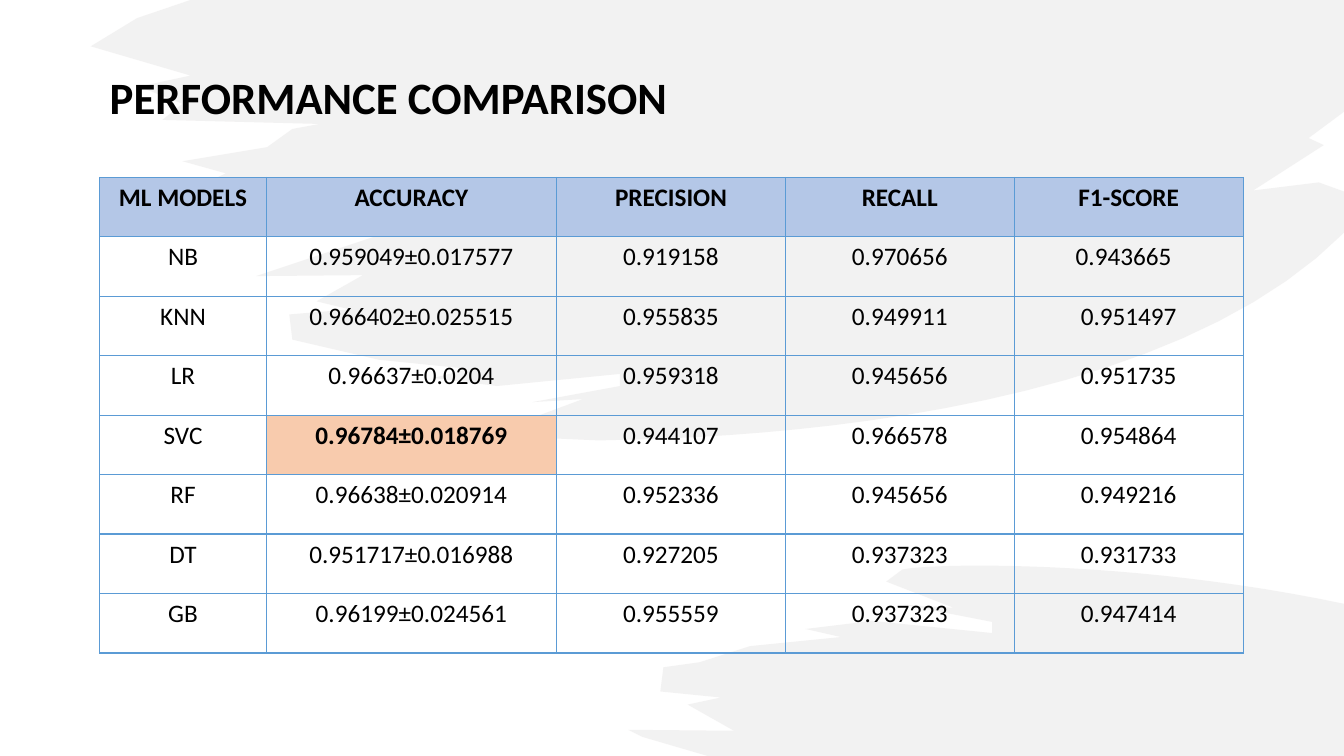
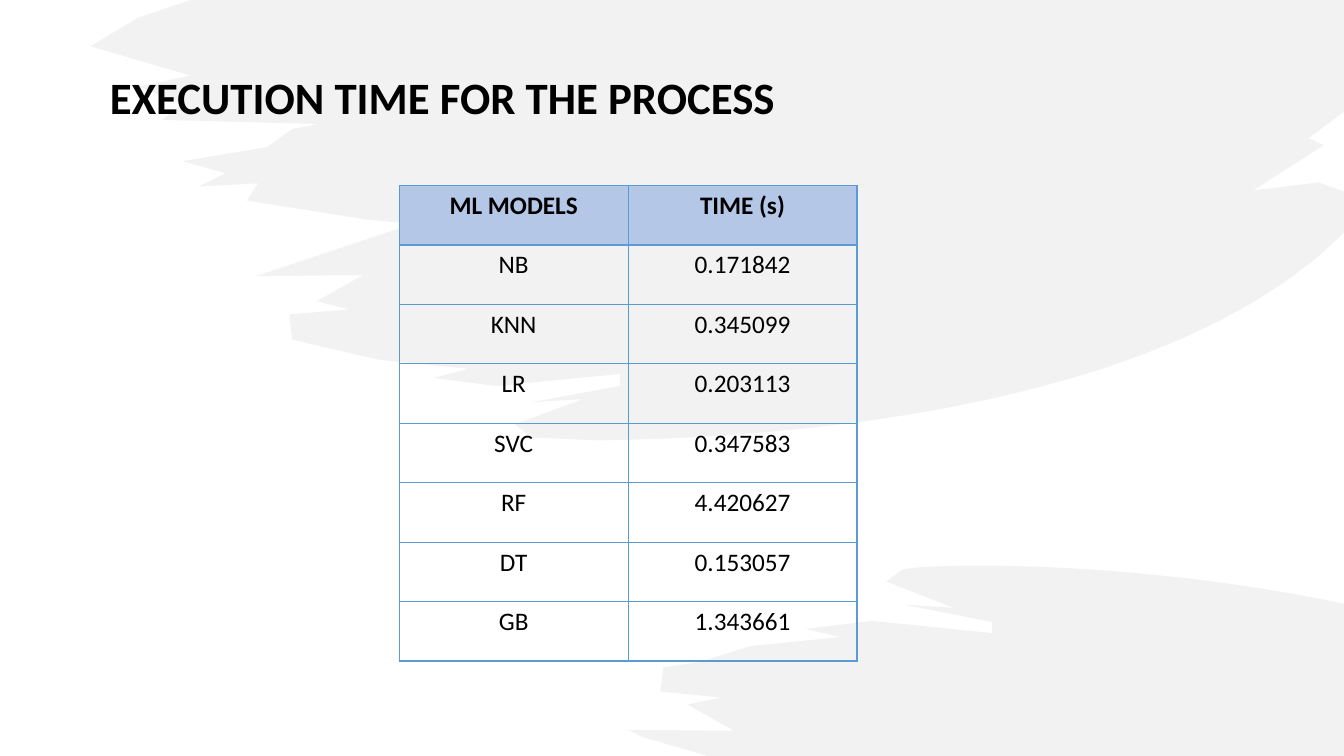
import pptx
import pptx.dml.color
import pptx.enum.text
import pptx.oxml
import pptx.oxml.ns
import pptx.util

COLORS = {
    "stroke": "E7E6E6",
    "text": "000000",
    "border": "5B9BD5",
    "header": "B4C7E7",
    "highlight": "F8CBAD",
}
FONT = "Calibri"
WIDTH, HEIGHT = 13.33, 7.5
ROW_HEIGHT = 0.59
COLUMN = 2.27
CURVE_STEPS = 24

SLIDES = [
    {
        "title": "PERFORMANCE COMPARISON",
        "title_width": 7.74,
        "table_at": (0.99, 1.76),
        "columns": [1.65, 2.88] + [COLUMN] * 3,
        "rows": [
            ("ML MODELS", "ACCURACY", "PRECISION", "RECALL", "F1-SCORE"),
            ("NB", "0.959049±0.017577", "0.919158", "0.970656", "0.943665"),
            ("KNN", "0.966402±0.025515", "0.955835", "0.949911", "0.951497"),
            ("LR", "0.96637±0.0204", "0.959318", "0.945656", "0.951735"),
            ("SVC", "0.96784±0.018769", "0.944107", "0.966578", "0.954864"),
            ("RF", "0.96638±0.020914", "0.952336", "0.945656", "0.949216"),
            ("DT", "0.951717±0.016988", "0.927205", "0.937323", "0.931733"),
            ("GB", "0.96199±0.024561", "0.955559", "0.937323", "0.947414"),
        ],
        "highlight": (4, 1),
        "shifted_left": (1, 4),
    },
    {
        "title": "EXECUTION TIME FOR THE PROCESS",
        "title_width": 8.05,
        "table_at": (3.96, 1.84),
        "columns": [COLUMN] * 2,
        "rows": [
            ("ML MODELS", "TIME (s)"),
            ("NB", "0.171842"),
            ("KNN", "0.345099"),
            ("LR", "0.203113"),
            ("SVC", "0.347583"),
            ("RF", "4.420627"),
            ("DT", "0.153057"),
            ("GB", "1.343661"),
        ],
    },
]

UPPER_STROKE = {
    "curve": [(WIDTH, 2.31), (11.26, 4.4), (6.3, 4.35), (5.95, 4.37)],
    "ragged": [
        (5.27, 4.34), (5.11, 4.21), (5.78, 3.96), (5.28, 3.99),
        (6.15, 3.83), (6.15, 3.71), (4.93, 3.83), (4.3, 3.75),
        (4.65, 3.66), (3.76, 3.57), (2.9, 3.37), (2.87, 3.12),
        (3.47, 3.07), (3.14, 2.99), (3.6, 2.73), (2.54, 2.74),
        (4.1, 2.22), (3.65, 2.18), (2.45, 1.99), (2.56, 1.82),
        (1.97, 1.85), (2.24, 1.72), (1.81, 1.6), (2.65, 1.46),
        (2.9, 1.28), (3.17, 1.23), (1.61, 1.19), (1.81, 1.03),
        (1.38, 0.86), (1.89, 0.75), (0.9, 0.46), (1.36, 0.18),
    ],
    "edge": [
        (1.89, 0), (WIDTH, 0), (WIDTH, 1.11), (12.98, 1.37),
        (13.13, 1.44), (12.43, 1.89), (13.08, 1.81), (WIDTH, 1.9),
    ],
}
LOWER_STROKE = {
    "curve": [(8.95, 5.65), (9.2, 5.59), (11.2, 5.54), (WIDTH, 5.99)],
    "edge": [(WIDTH, HEIGHT), (7.02, HEIGHT)],
    "ragged": [
        (6.37, 7.31), (6.23, 7.24), (7.28, 7.25), (6.82, 6.99),
        (7.15, 6.92), (6.55, 6.86), (6.58, 6.62), (6.94, 6.57),
        (7.44, 6.41), (8.34, 6.32), (7.99, 6.24), (8.65, 6.16),
        (9.84, 6.28), (9.84, 6.17), (8.97, 6), (9.46, 6.03),
        (8.79, 5.77),
    ],
}


def inches(*lengths):
    return [pptx.util.Inches(length) for length in lengths]


def rgb(name):
    return pptx.dml.color.RGBColor.from_string(COLORS[name])


def curve_point(controls, share):
    while len(controls) > 1:
        controls = [
            tuple(a + (b - a) * share for a, b in zip(first, second))
            for first, second in zip(controls, controls[1:])
        ]
    return controls[0]


def add_brush_stroke(page, parts):
    points = []
    for name, corners in parts.items():
        if name == "curve":
            corners = [curve_point(corners, step / CURVE_STEPS)
                       for step in range(CURVE_STEPS + 1)]
        points.extend(inches(*corner) for corner in corners)
    builder = page.shapes.build_freeform(*points[0])
    builder.add_line_segments(points[1:], close=True)
    stroke = builder.convert_to_shape()
    stroke.shadow.inherit = False
    stroke.line.fill.background()
    stroke.fill.solid()
    stroke.fill.fore_color.rgb = rgb("stroke")
    color = stroke.element.spPr.find(".//" + pptx.oxml.ns.qn("a:srgbClr"))
    color.append(pptx.oxml.parse_xml(
        f'<a:alpha {pptx.oxml.ns.nsdecls("a")} val="50000"/>'))


def write_text(frame, text, size, bold):
    para = frame.paragraphs[0]
    para.text = text
    para.font.name = FONT
    para.font.size = pptx.util.Pt(size)
    para.font.bold = bold
    para.font.color.rgb = rgb("text")
    return para


def add_title(page, text, width):
    box = page.shapes.add_textbox(*inches(0.99, 0.7, width, 0.85))
    box.text_frame.word_wrap = True
    write_text(box.text_frame, text, 32, True).line_spacing = 0.9


def set_borders(cell):
    properties = cell._tc.get_or_add_tcPr()
    for index, side in enumerate(("lnL", "lnR", "lnT", "lnB")):
        properties.insert(index, pptx.oxml.parse_xml(
            f'<a:{side} {pptx.oxml.ns.nsdecls("a")} w="12700"><a:solidFill>'
            f'<a:srgbClr val="{COLORS["border"]}"/></a:solidFill></a:{side}>'))


def add_results_table(page, content):
    rows, columns = content["rows"], content["columns"]
    place = inches(*content["table_at"], sum(columns), ROW_HEIGHT * len(rows))
    table = page.shapes.add_table(len(rows), len(columns), *place).table
    table.first_row = table.horz_banding = False
    for column, width in zip(table.columns, columns):
        column.width = pptx.util.Inches(width)
    for row_index, row in enumerate(rows):
        for column_index, text in enumerate(row):
            position = (row_index, column_index)
            cell = table.cell(*position)
            highlighted = position == content.get("highlight")
            fill = "header" if row_index == 0 else "highlight" if highlighted else None
            para = write_text(cell.text_frame, text, 18, fill is not None)
            para.alignment = pptx.enum.text.PP_ALIGN.CENTER
            if fill:
                cell.fill.solid()
                cell.fill.fore_color.rgb = rgb(fill)
            else:
                cell.fill.background()
            if position == content.get("shifted_left"):
                cell.margin_right = pptx.util.Inches(0.2)
            set_borders(cell)


def main():
    deck = pptx.Presentation()
    deck.slide_width, deck.slide_height = inches(WIDTH, HEIGHT)
    for content in SLIDES:
        page = deck.slides.add_slide(deck.slide_layouts[6])
        for parts in (UPPER_STROKE, LOWER_STROKE):
            add_brush_stroke(page, parts)
        add_title(page, content["title"], content["title_width"])
        add_results_table(page, content)
    deck.save("out.pptx")


if __name__ == "__main__":
    main()
